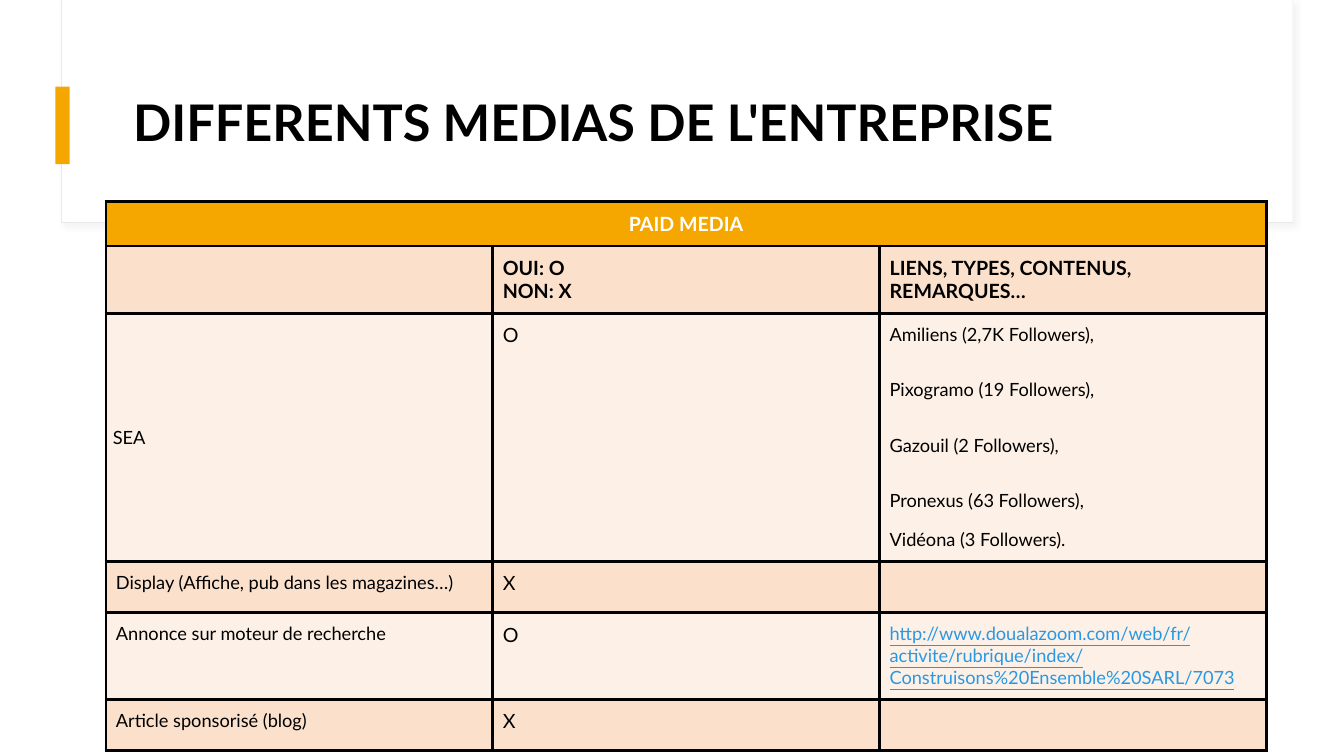
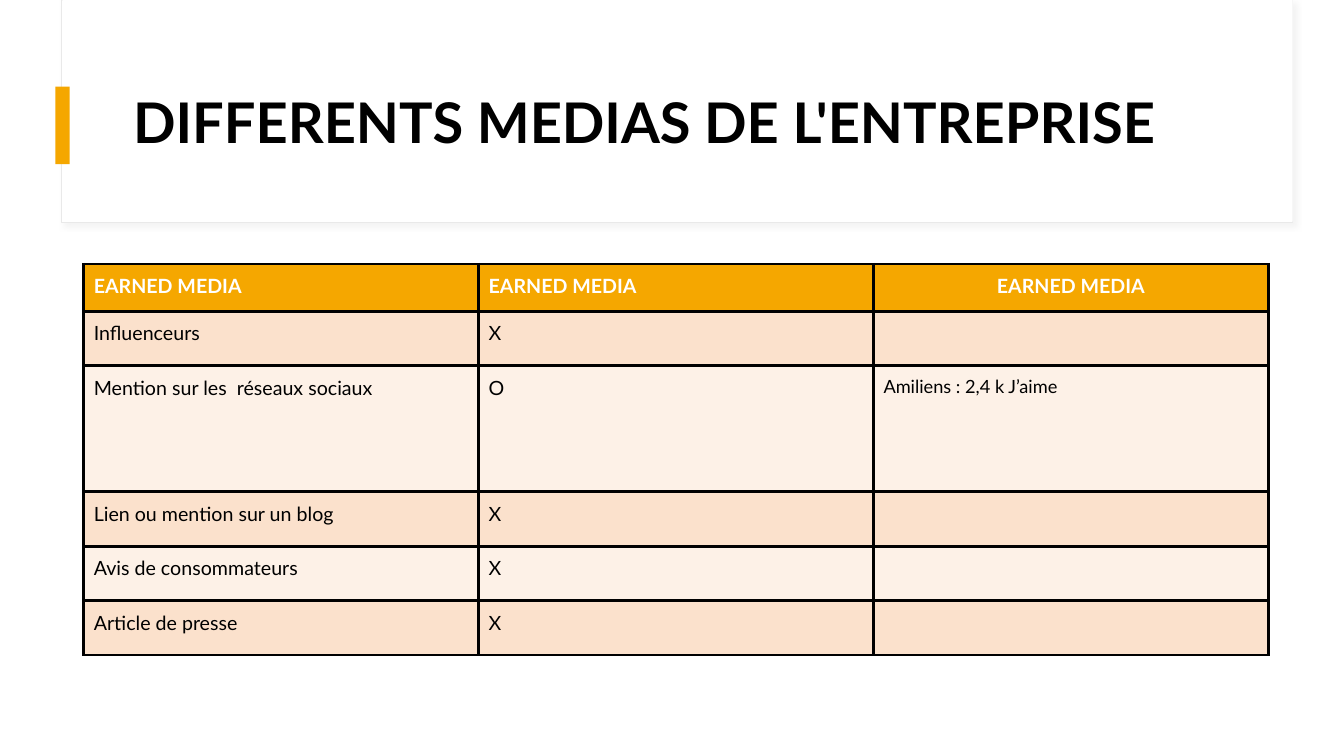
from lxml.etree import SubElement
from pptx import Presentation
from pptx.dml.color import RGBColor
from pptx.enum.shapes import MSO_SHAPE
from pptx.enum.text import MSO_ANCHOR, MSO_AUTO_SIZE, PP_ALIGN
from pptx.oxml.ns import qn
from pptx.util import Inches, Pt

COLORS = {
    "white": "FFFFFF",
    "black": "000000",
    "accent": "F5A700",
    "dark_band": "FBE1CC",
    "light_band": "FDF1E7",
    "frame": "E9E9E9",
    "shadow": "D9D9D9",
    "link": "2998E3",
}
FONT = "Lato"
TITLE = "DIFFERENTS MEDIAS DE L'ENTREPRISE"


def rgb(name):
    return RGBColor.from_string(COLORS[name])


def set_all(target, values):
    for name, value in values.items():
        setattr(target, name, value)


class MediaDeck:
    """Holds the shared style and the current page."""

    def __init__(self):
        self.deck = Presentation()
        self.deck.slide_width = Inches(13.33)
        self.deck.slide_height = Inches(7.5)
        self.layout = self.deck.slide_layouts[5]
        self.page = None

    def new_page(self):
        first = self.page is None
        self.page = self.deck.slides.add_slide(self.layout)
        if first:
            self.shared_frame()

    def rectangle(self, left, top, width, height, fill, line=None):
        box = self.page.shapes.add_shape(
            MSO_SHAPE.RECTANGLE, *map(Inches, (left, top, width, height)))
        box.shadow.inherit = False
        box.fill.solid()
        box.fill.fore_color.rgb = rgb(fill)
        if line:
            box.line.color.rgb = rgb(line)
            box.line.width = Pt(0.75)
        else:
            box.line.fill.background()
        return box

    def soft_shadow(self, box):
        effects = box.element.spPr.find(qn("a:effectLst"))
        shadow = SubElement(effects, qn("a:outerShdw"), blurRad=str(Pt(4)),
                            dist=str(Pt(3)), dir=str(45 * 60000))
        color = SubElement(shadow, qn("a:srgbClr"), val=COLORS["shadow"])
        SubElement(color, qn("a:alpha"), val="30000")

    def shared_frame(self):
        """Draw the title frame and accent bar, then hand them to the layout."""
        frame = self.rectangle(0.61, 0, 12.21, 2.21, "white", "frame")
        self.soft_shadow(frame)
        panel = self.rectangle(0.62, 0, 12.2, 2.2, "white")
        bar = self.rectangle(0.55, 0.86, 0.14, 0.77, "accent")
        for box in (frame, panel, bar):
            self.layout.shapes.element.append(box.element)

    def add_text(self, para, text, size, color="black", bold=False, underline=False):
        span = para.add_run()
        span.text = text
        set_all(span.font, {"name": FONT, "size": Pt(size), "bold": bold,
                            "underline": underline})
        span.font.color.rgb = rgb(color)

    def title(self, text, size, width):
        box = self.page.shapes.title
        set_all(box, {"left": Inches(1.22), "top": Inches(0.6),
                      "width": Inches(width), "height": Inches(1.29)})
        set_all(box.text_frame, {"word_wrap": True, "auto_size": MSO_AUTO_SIZE.NONE,
                                 "vertical_anchor": MSO_ANCHOR.MIDDLE})
        para = box.text_frame.paragraphs[0]
        set_all(para, {"alignment": PP_ALIGN.LEFT, "line_spacing": 0.9})
        self.add_text(para, text, size, bold=True)

    def borders(self, cell):
        properties = cell._tc.get_or_add_tcPr()
        for side in ("lnL", "lnR", "lnT", "lnB"):
            line = SubElement(properties, qn(f"a:{side}"), w=str(Pt(2.25)))
            fill = SubElement(line, qn("a:solidFill"))
            SubElement(fill, qn("a:srgbClr"), val=COLORS["black"])

    def fill_cell(self, cell, lines, fill, style, align=PP_ALIGN.LEFT,
                  side=0.1, anchor=MSO_ANCHOR.TOP, gaps=()):
        self.borders(cell)
        cell.fill.solid()
        cell.fill.fore_color.rgb = rgb(fill)
        set_all(cell, {"margin_left": Inches(side), "margin_right": Inches(side),
                       "margin_top": Inches(0.1), "margin_bottom": Inches(0.1),
                       "vertical_anchor": anchor})
        if not lines:
            cell.margin_top = cell.margin_bottom = Inches(0.05)
        frame = cell.text_frame
        for index, text in enumerate(lines):
            para = frame.add_paragraph() if index else frame.paragraphs[0]
            para.alignment = align
            if index and gaps:
                para.space_before = Pt(gaps[index - 1])
            self.add_text(para, text, **style)

    def table(self, left, top, width, heights, header, rows, sizes):
        """Row cells are lists of lines, or (lines, text style, cell options)."""
        grid = self.page.shapes.add_table(
            len(heights), len(sizes),
            *map(Inches, (left, top, width, sum(heights)))).table
        set_all(grid, {"first_row": False, "horz_banding": False})
        for row, height in zip(grid.rows, heights):
            row.height = Inches(height)
        for column in grid.columns:
            column.width = Inches(width / len(sizes))
        # Header: the last label is centred, a single label spans the row
        if len(header) == 1:
            grid.cell(0, 0).merge(grid.cell(0, len(sizes) - 1))
        for index in range(len(sizes)):
            align = PP_ALIGN.CENTER if index == len(header) - 1 else PP_ALIGN.LEFT
            self.fill_cell(grid.cell(0, index), header[index:index + 1], "accent",
                           {"size": 14, "color": "white", "bold": True}, align)
        # Body: alternating bands
        for number, row in enumerate(rows, start=1):
            band = "dark_band" if number % 2 else "light_band"
            for index, content in enumerate(row):
                lines, style, options = (
                    content if isinstance(content, tuple) else (content, {}, {}))
                self.fill_cell(grid.cell(number, index), lines, band,
                               {"size": sizes[index], **style}, **options)


def main():
    media = MediaDeck()
    heading = {"size": 14, "bold": True}

    # Paid media
    media.new_page()
    media.title(TITLE, 36, 11.12)
    media.table(
        1.05, 2, 11.51, [0.44, 0.67, 2.46, 0.51, 0.86, 0.51], ["PAID MEDIA"],
        [
            [[], (["OUI: O", "NON: X"], heading, {}),
             (["LIENS, TYPES, CONTENUS, REMARQUES…"], heading, {})],
            [(["SEA"], {}, {"side": 0.07, "anchor": MSO_ANCHOR.MIDDLE}), ["O"],
             (["Amiliens (2,7K Followers),", "Pixogramo (19 Followers),",
               "Gazouil (2 Followers),", "Pronexus (63 Followers),",
               "Vidéona (3 Followers)."], {}, {"gaps": (24, 24, 24, 12)})],
            [["Display (Affiche, pub dans les magazines…)"], ["X"], []],
            [["Annonce sur moteur de recherche"], ["O"],
             (["http://www.doualazoom.com/web/fr/activite/rubrique/index/"
               "Construisons%20Ensemble%20SARL/7073"],
              {"color": "link", "underline": True}, {})],
            [["Article sponsorisé (blog)"], ["X"], []],
        ],
        sizes=(13, 14, 13))

    # Earned media
    media.new_page()
    media.title(TITLE, 40, 11.43)
    media.table(
        0.83, 2.62, 11.75, [0.47, 0.54, 1.25, 0.54, 0.54, 0.54],
        ["EARNED MEDIA"] * 3,
        [
            [["Influenceurs"], ["X"], []],
            [["Mention sur les  réseaux sociaux"], ["O"],
             ["Amiliens : 2,4 k J’aime"]],
            [["Lien ou mention sur un blog"], ["X"], []],
            [["Avis de consommateurs"], ["X"], []],
            [["Article de presse"], ["X"], []],
        ],
        sizes=(14, 14, 13))

    media.deck.save("out.pptx")


if __name__ == "__main__":
    main()
